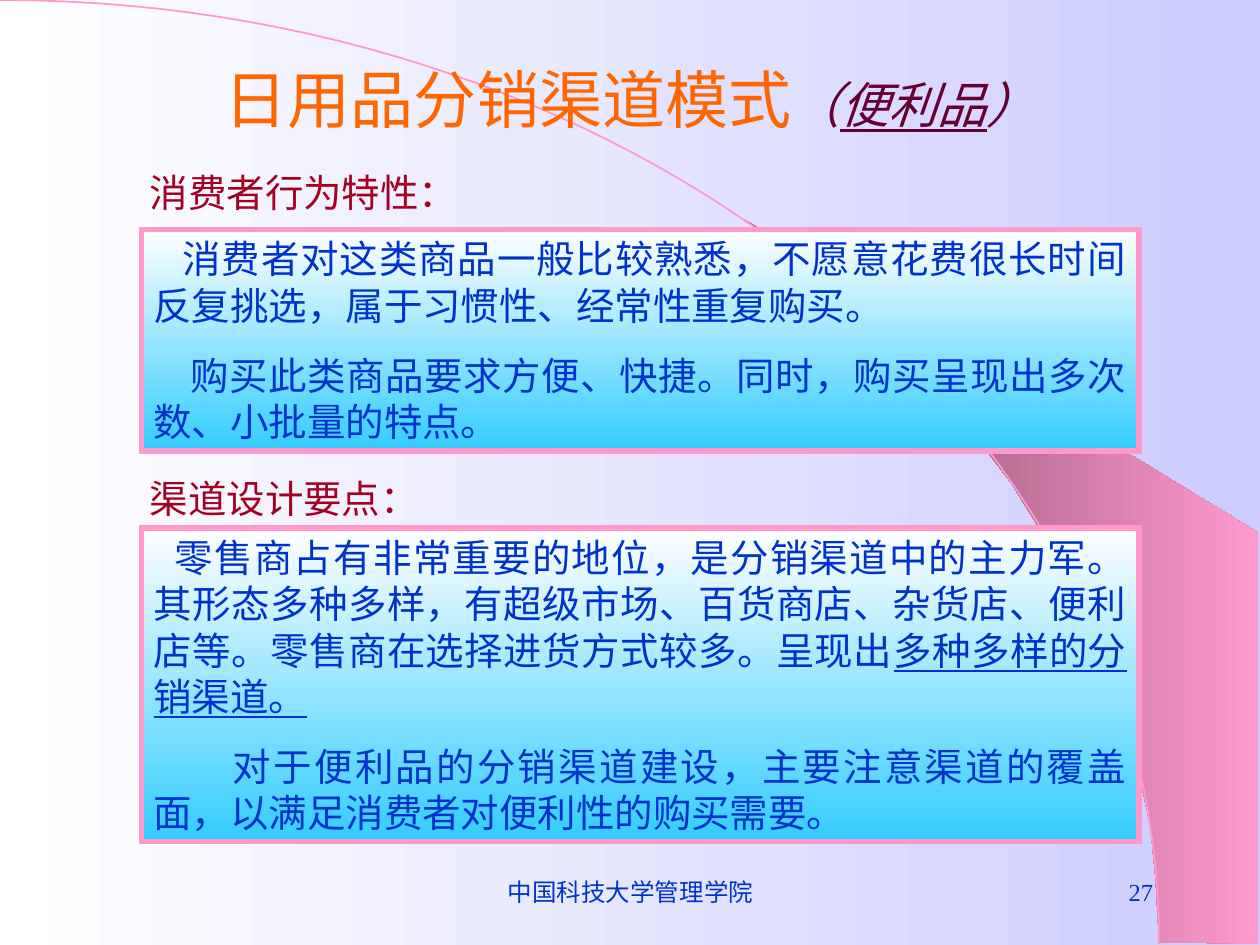
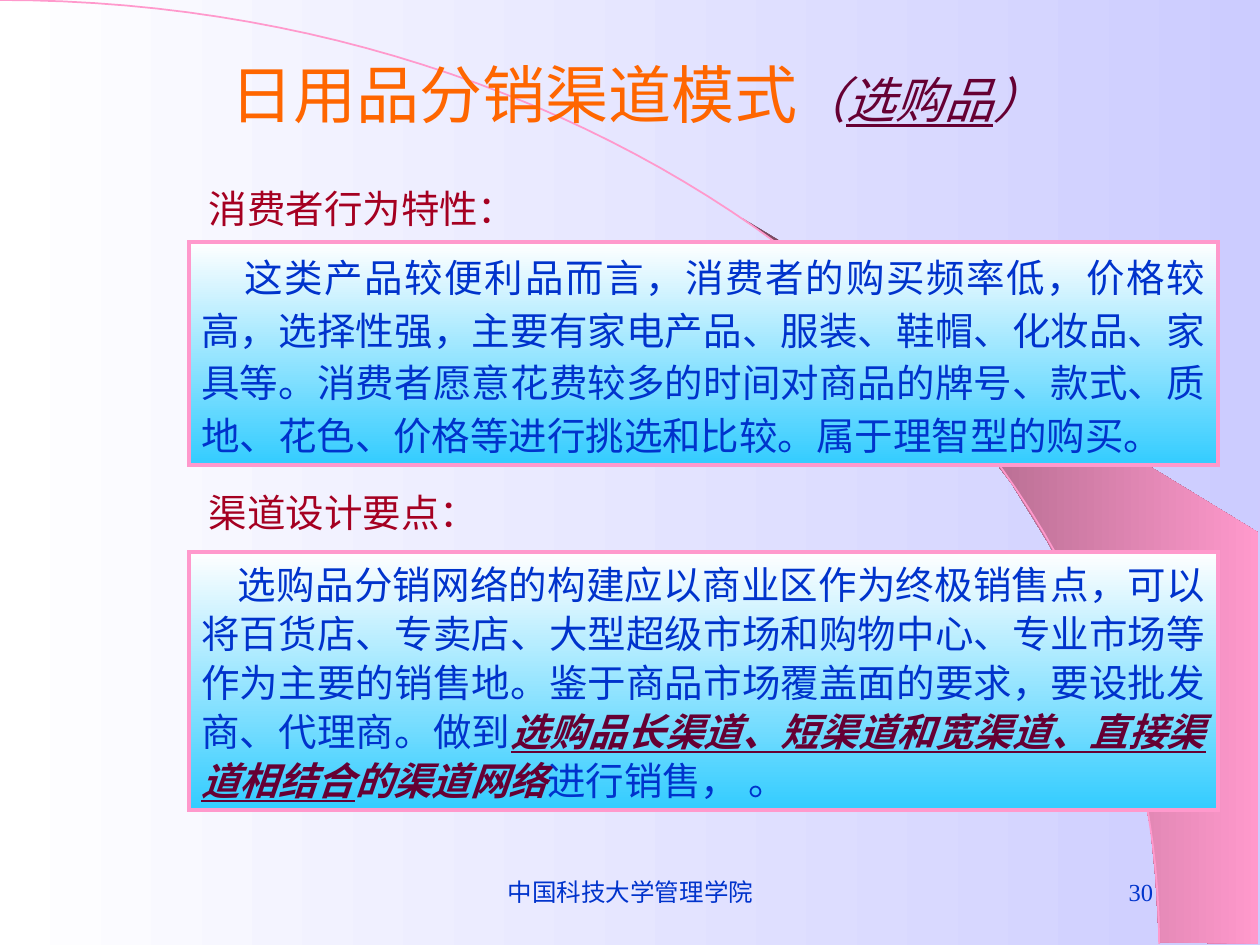
from dataclasses import dataclass, replace
from typing import NamedTuple

from lxml.etree import SubElement
from pptx import Presentation
from pptx.dml.color import RGBColor
from pptx.enum.shapes import MSO_SHAPE as Preset
from pptx.enum.text import MSO_ANCHOR as Anchor, MSO_AUTO_SIZE as AutoSize, PP_ALIGN as Align
from pptx.oxml.ns import qn
from pptx.util import Pt

PX = 9144
WHITE = RGBColor(0xFF, 0xFF, 0xFF)
LAVENDER = RGBColor(0xCC, 0xCC, 0xFF)
SKY = RGBColor(0x33, 0xCC, 0xFF)
PINK = RGBColor(0xFF, 0x99, 0xCC)
MAUVE = RGBColor(0x76, 0x47, 0x5E)
ORANGE = RGBColor(0xFF, 0x66, 0x00)
CRIMSON = RGBColor(0xA5, 0x00, 0x21)
PLUM = RGBColor(0x66, 0x00, 0x33)
BLUE = RGBColor(0x00, 0x33, 0xCC)
CJK = "Noto Sans CJK SC"


@dataclass(frozen=True)
class Style:
    size: int
    color: RGBColor
    font: str = CJK
    bold: bool = False
    italic: bool = False
    underline: bool = False


class Box(NamedTuple):
    left: int
    top: int
    width: int
    height: int

    def emu(self):
        return [side * PX for side in self]


TITLE = Style(36, ORANGE)
TITLE_LATIN = replace(TITLE, font="Arial")
KIND = Style(28, PLUM, italic=True)
KIND_LINED = replace(KIND, underline=True)
HEADING = Style(22, CRIMSON)
BODY = Style(22, BLUE)
BODY_LINED = replace(BODY, underline=True)
STRESS = Style(22, PLUM, bold=True, italic=True)
STRESS_LINED = replace(STRESS, underline=True)
FOOTER = Style(14, BLUE, "Times New Roman")

BEHAVIOUR = "消费者行为特性："
DESIGN = "渠道设计要点："
SCHOOL = "中国科技大学管理学院"
RIBBON = [(920, 748), (999, 749), (999, 423), (589, 173), (624, 199), (653, 222),
          (685, 250), (716, 280), (762, 330), (803, 384), (832, 431), (858, 479),
          (878, 528), (893, 572), (903, 609), (913, 656), (917, 696)]
ARC = [(0, 0), (508, 0), (920, 335), (920, 749)]


def paint_gradient(fill, start, end, angle=0):
    fill.gradient()
    fill.gradient_angle = angle
    for stop, color, position in zip(fill.gradient_stops, (start, end), (0, 1)):
        stop.color.rgb = color
        stop.position = position


def add_span(para, text, style):
    span = para.add_run()
    span.text = text
    font = span.font
    font.size = Pt(style.size)
    font.color.rgb = style.color
    font.name = style.font
    font.bold = style.bold
    font.italic = style.italic
    font.underline = style.underline
    SubElement(font._element, qn("a:ea")).set("typeface", CJK)


def write(shape, paragraphs, align, before=0, spacing=None, anchor=Anchor.TOP, grow=False):
    frame = shape.text_frame
    frame.word_wrap = True
    frame.vertical_anchor = anchor
    frame.auto_size = AutoSize.SHAPE_TO_FIT_TEXT if grow else AutoSize.NONE
    for index, (indent, spans) in enumerate(paragraphs):
        para = frame.add_paragraph() if index else frame.paragraphs[0]
        para.alignment = align
        para.space_before = Pt(before)
        if spacing:
            para.line_spacing = Pt(spacing)
        properties = para._p.get_or_add_pPr()
        properties.set("indent", str(indent * PX))
        properties.set("hangingPunct", "0")
        for text, style in spans:
            add_span(para, text, style)


def add_text(page, box, spans, align, **options):
    shape = page.shapes.add_textbox(*box.emu())
    write(shape, [(0, spans)], align, **options)


def curve_points(controls, steps=60):
    for step in range(steps + 1):
        t = step / steps
        weights = ((1 - t) ** 3, 3 * t * (1 - t) ** 2, 3 * t * t * (1 - t), t ** 3)
        yield tuple(sum(w * value for w, value in zip(weights, axis)) for axis in zip(*controls))


def add_outline(page, points, close):
    first, *rest = [(round(x * PX), round(y * PX)) for x, y in points]
    builder = page.shapes.build_freeform(*first)
    builder.add_line_segments(rest, close=close)
    shape = builder.convert_to_shape()
    shape.shadow.inherit = False
    return shape


def add_backdrop(page):
    paint_gradient(page.background.fill, WHITE, LAVENDER)
    ribbon = add_outline(page, RIBBON, close=True)
    paint_gradient(ribbon.fill, MAUVE, PINK)
    ribbon.line.fill.background()
    arc = add_outline(page, curve_points(ARC), close=False)
    arc.fill.background()
    arc.line.color.rgb = PINK
    arc.line.width = Pt(1)


def add_title(page, box, kind):
    spans = [("日用品", TITLE), ("分销渠道模式", TITLE_LATIN),
             ("（", KIND), (kind, KIND_LINED), ("）", KIND)]
    add_text(page, box, spans, Align.CENTER, anchor=Anchor.MIDDLE)


def add_footer(page, box, number):
    school = Box(box.left, box.top, 317, box.height)
    corner = Box(box.left + box.width - 208, box.top, 208, box.height)
    add_text(page, corner, [(number, FOOTER)], Align.RIGHT, anchor=Anchor.MIDDLE)
    add_text(page, school, [(SCHOOL, FOOTER)], Align.CENTER, anchor=Anchor.MIDDLE)


def add_section(page, box, heading, shift, rise, paragraphs, border, before, spacing=None):
    label = Box(box.left + shift, box.top - rise, 267, 47)
    add_text(page, label, [(heading, HEADING)], Align.LEFT, before=13.8, grow=True)
    panel = page.shapes.add_shape(Preset.RECTANGLE, *box.emu())
    panel.shadow.inherit = False
    paint_gradient(panel.fill, WHITE, SKY, 270)
    panel.line.color.rgb = PINK
    panel.line.width = Pt(border)
    SubElement(panel.line._get_or_add_ln(), qn("a:miter")).set("lim", "800000")
    write(panel, paragraphs, Align.JUSTIFY, before, spacing, grow=True)


def add_page(deck, title_box, kind, number):
    page = deck.slides.add_slide(deck.slide_layouts[6])
    add_backdrop(page)
    add_title(page, title_box, kind)
    add_footer(page, Box(342, 683, 583, 50), number)
    return page


def add_convenience_page(deck):
    page = add_page(deck, Box(75, 31, 850, 94), "便利品", "27")
    look = {"shift": -3, "border": 3, "before": 13.8}
    add_section(page, Box(112, 182, 792, 176), BEHAVIOUR, rise=53, paragraphs=[
        (23, [("消费者对这类商品一般比较熟悉，不愿意花费很长时间反复挑选，"
               "属于习惯性、经常性重复购买。", BODY)]),
        (29, [("购买此类商品要求方便、快捷。同时，购买呈现出多次数、小批量的特点。", BODY)]),
    ], **look)
    add_section(page, Box(112, 419, 792, 249), DESIGN, rise=47, paragraphs=[
        (17, [("零售商占有非常重要的地位，是分销渠道中的主力军。其形态多种多样，"
               "有超级市场、百货商店、杂货店、便利店等。零售商在选择进货方式较多。呈现出", BODY),
              ("多种多样的分销渠道。", BODY_LINED)]),
        (63, [("对于便利品的分销渠道建设，主要注意渠道的覆盖面，"
               "以满足消费者对便利性的购买需要。", BODY)]),
    ], **look)


def add_shopping_page(deck):
    page = add_page(deck, Box(80, 31, 850, 86), "选购品", "30")
    look = {"shift": 6, "border": 2.25, "before": 12}
    add_section(page, Box(150, 192, 817, 177), BEHAVIOUR, rise=50, spacing=30, paragraphs=[
        (34, [("这类产品较便利品而言，消费者的购买频率低，价格较高，选择性强，"
               "主要有家电产品、服装、鞋帽、化妆品、家具等。消费者愿意花费较多的时间"
               "对商品的牌号、款式、质地、花色、价格等进行挑选和比较。属于理智型的购买。", BODY)]),
    ], **look)
    add_section(page, Box(150, 438, 817, 205), DESIGN, rise=55, spacing=28, paragraphs=[
        (29, [("选购品分销网络的构建应以商业区作为终极销售点，可以将百货店、专卖店、"
               "大型超级市场和购物中心、专业市场等作为主要的销售地。"
               "鉴于商品市场覆盖面的要求，要设批发商、代理商。做到", BODY),
              ("选购品长渠道、短渠道和宽渠道、直接渠道相结合", STRESS_LINED),
              ("的渠道网络", STRESS),
              ("进行销售， 。", BODY)]),
    ], **look)


def main():
    deck = Presentation()
    deck.slide_width = 1000 * PX
    deck.slide_height = 750 * PX
    add_convenience_page(deck)
    add_shopping_page(deck)
    deck.save("out.pptx")


if __name__ == "__main__":
    main()
